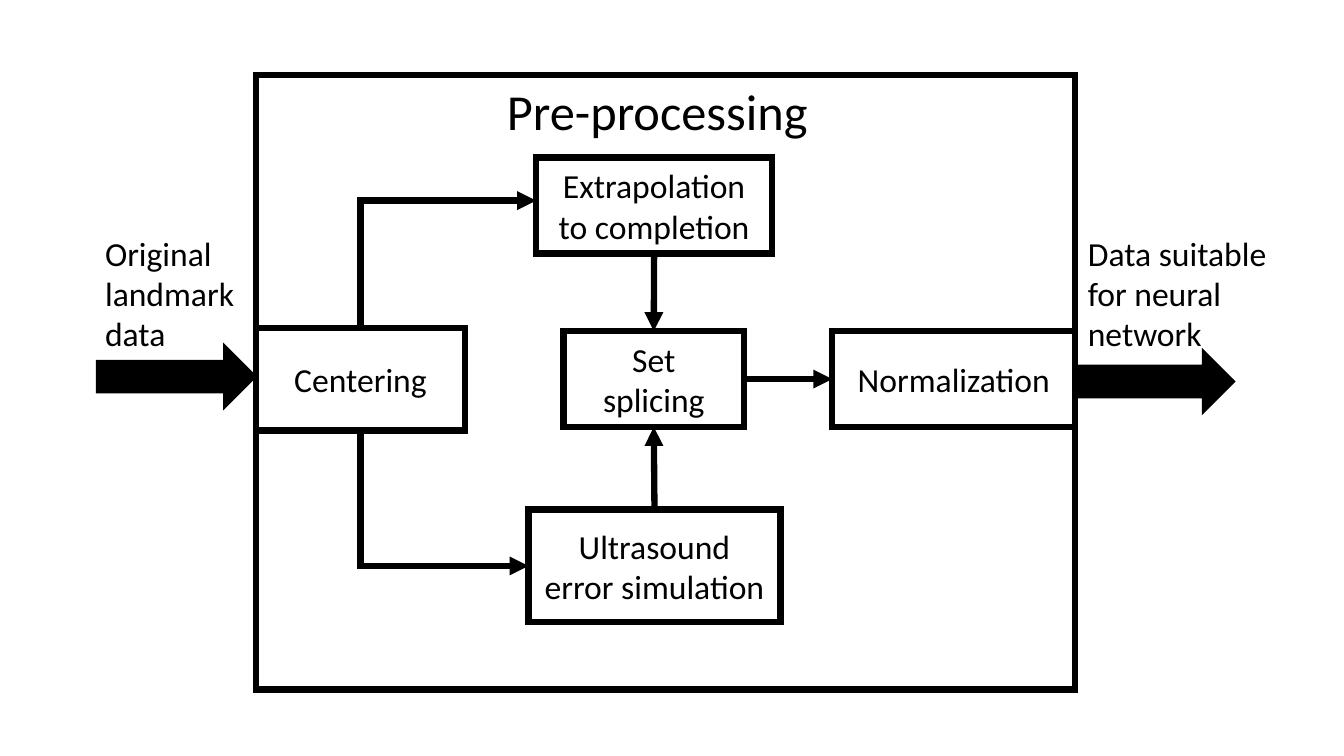
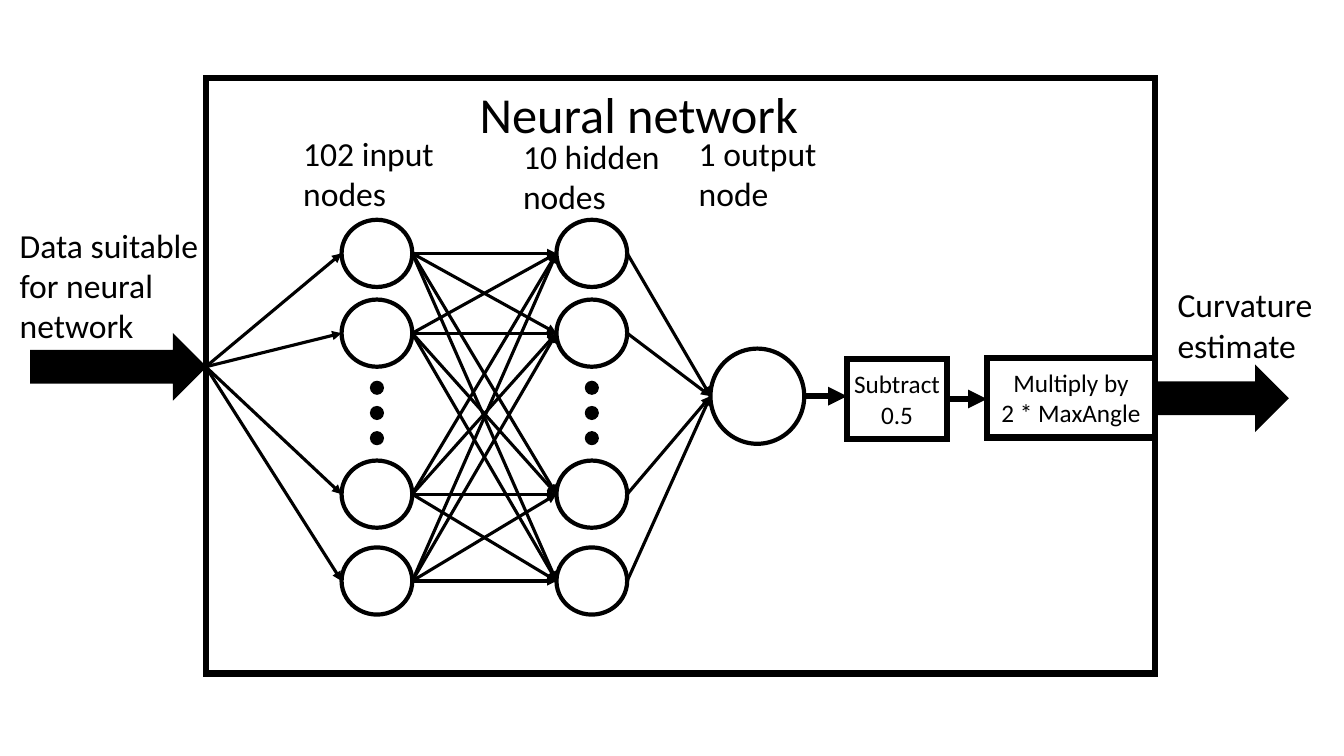
from dataclasses import dataclass
from itertools import product

from lxml.etree import SubElement
from pptx import Presentation
from pptx.dml.color import RGBColor
from pptx.enum.shapes import MSO_CONNECTOR, MSO_SHAPE
from pptx.enum.text import MSO_ANCHOR, PP_ALIGN
from pptx.oxml.ns import qn
from pptx.util import Pt

BLACK = RGBColor(0, 0, 0)
FONT = "Calibri"
TITLE_SIZE, LABEL_SIZE, SMALL_SIZE = 36, 24, 18
THICK, MEDIUM, THIN, HAIR = 4.5, 3, 2.25, 1
ARROW_HEIGHT = 46
FRAME_FORMAT = {"word_wrap": True, "margin_left": Pt(7.2), "margin_right": Pt(7.2),
                "margin_top": Pt(3.6), "margin_bottom": Pt(3.6),
                "vertical_anchor": MSO_ANCHOR.TOP}
STEP_FORMAT = FRAME_FORMAT | {"word_wrap": False, "margin_left": 0, "margin_right": 0,
                              "margin_top": 0, "margin_bottom": 0,
                              "vertical_anchor": MSO_ANCHOR.MIDDLE}


@dataclass
class Box:
    """A rectangle in points."""
    left: float
    top: float
    width: float
    height: float

    def inner(self, left, top, width, height):
        return Box(self.left + left, self.top + top, width, height)

    def point(self, across, down):
        return self.left + across * self.width, self.top + down * self.height

    def lengths(self):
        return [Pt(value) for value in (self.left, self.top, self.width, self.height)]


# Basic pieces

def apply(target, values):
    for name, value in values.items():
        setattr(target, name, value)


def write(shape, text, size, frame_format, align=PP_ALIGN.LEFT):
    apply(shape.text_frame, frame_format)
    para = shape.text_frame.paragraphs[0]
    para.text = text
    para.alignment = align
    for span in para.runs:
        apply(span.font, {"name": FONT, "size": Pt(size)})
        span.font.color.rgb = BLACK


def add_label(page, box, text, size=LABEL_SIZE):
    write(page.shapes.add_textbox(*box.lengths()), text, size, FRAME_FORMAT)


def set_line(shape, width):
    shape.line.color.rgb = BLACK
    shape.line.width = Pt(width)
    return shape._element.spPr.find(qn("a:ln"))


def add_outline(page, kind, box, width, filled=False):
    shape = page.shapes.add_shape(kind, *box.lengths())
    shape.shadow.inherit = False
    if filled:
        shape.fill.solid()
        shape.fill.fore_color.rgb = BLACK
    else:
        shape.fill.background()
    SubElement(set_line(shape, width), qn("a:miter"), lim="800000")
    return shape


def add_step(page, box, text, size=LABEL_SIZE):
    shape = add_outline(page, MSO_SHAPE.RECTANGLE, box, THICK)
    write(shape, text, size, STEP_FORMAT, PP_ALIGN.CENTER)


def add_arrow(page, start, end, width=THICK, bent=False):
    """Arrow from start to end; a bent one leaves vertically and arrives horizontally."""
    kind = MSO_CONNECTOR.ELBOW if bent else MSO_CONNECTOR.STRAIGHT
    # The one-corner preset runs horizontally first, so it is laid from its tip.
    first, last = (end, start) if bent else (start, end)
    link = page.shapes.add_connector(kind, *[Pt(value) for value in first + last])
    properties = link._element.spPr
    line = set_line(link, width)
    SubElement(line, qn("a:miter"), lim="800000")
    SubElement(line, qn("a:headEnd" if bent else "a:tailEnd"), type="triangle")
    SubElement(properties, qn("a:effectLst"))
    if bent:
        properties.find(qn("a:prstGeom")).set("prst", "bentConnector2")


# Regions

def draw_stage(page, box, title, title_box):
    """Outer frame with its heading."""
    add_outline(page, MSO_SHAPE.RECTANGLE, box, THICK)
    add_label(page, box.inner(*title_box), title, TITLE_SIZE)


def draw_flow(page, box, arrow, text, label_box):
    """Block arrow into or out of a stage, with its label; arrow is left, top, width."""
    add_outline(page, MSO_SHAPE.RIGHT_ARROW, box.inner(*arrow, ARROW_HEIGHT), HAIR, filled=True)
    add_label(page, box.inner(*label_box), text)


def draw_layer(page, box):
    """Column of four nodes with an ellipsis; returns the nodes."""
    nodes = [box.inner(0, top, box.width, 48) for top in (0, 57, 172, 234)]
    for node in nodes:
        add_outline(page, MSO_SHAPE.OVAL, node, MEDIUM)
    for index in range(3):
        dot = box.inner(box.width / 2 - 3.5, 116.5 + 18 * index, 7, 7)
        add_outline(page, MSO_SHAPE.OVAL, dot, MEDIUM, filled=True)
    return nodes


def draw_preprocessing(page, box):
    draw_stage(page, box, "Pre-processing", (172, 0, 240, 51))
    draw_flow(page, box, (-114, 192.5, 114), "Original landmark data", (-115, 109, 138, 94))
    draw_flow(page, box, (box.width, 196, 114), "Data suitable for neural network",
              (587, 109, 149, 94))

    # Steps
    centering = box.inner(0, 181, 149, 73)
    extrapolation = box.inner(200, 59, 168.5, 68.5)
    simulation = box.inner(194.5, 310.5, 180, 80.5)
    splicing = box.inner(219.5, 183, 129, 68.5)
    normalization = box.inner(box.width - 173.5, 183, 173.5, 68.5)
    for step, text in ((centering, "Centering"),
                       (extrapolation, "Extrapolation\vto completion"),
                       (simulation, "Ultrasound\verror simulation"),
                       (splicing, "Set\vsplicing"),
                       (normalization, "Normalization")):
        add_step(page, step, text)

    # Arrows between steps
    add_arrow(page, centering.point(0.5, 0), extrapolation.point(0, 0.45), bent=True)
    add_arrow(page, centering.point(0.5, 1), simulation.point(0, 0.5), bent=True)
    add_arrow(page, extrapolation.point(0.5, 1), splicing.point(0.5, 0))
    add_arrow(page, simulation.point(0.5, 0), splicing.point(0.5, 1))
    add_arrow(page, splicing.point(1, 0.5), normalization.point(0, 0.5))


def draw_network(page, box):
    draw_stage(page, box, "Neural network", (188.5, 0, 250, 51))
    draw_flow(page, box, (-125, 183.5, 125), "Data suitable for neural network",
              (-140, 101.5, 168.5, 94))
    draw_flow(page, box, (box.width, 206, 95), "Curvature estimate", (687, 144, 112, 66))

    # Layers and their labels
    inputs = draw_layer(page, box.inner(97, 101.5, 50.5, 282))
    hidden = draw_layer(page, box.inner(250.5, 101.5, 50.5, 282))
    output = box.inner(360.5, 193.5, 67, 68)
    add_outline(page, MSO_SHAPE.OVAL, output, MEDIUM)
    for text, place in (("102 input nodes", (62.5, 36, 112, 66)),
                        ("10 hidden nodes", (219.5, 38, 121, 66)),
                        ("1 output node", (345, 36, 99, 66))):
        add_label(page, box.inner(*place), text)

    # Connections between neighbouring layers
    entry = box.inner(0, 206.5, 0, 0)
    for sources, targets in (([entry], inputs), (inputs, hidden), (hidden, [output])):
        for source, target in product(sources, targets):
            add_arrow(page, source.point(1, 0.5), target.point(0, 0.5), THIN)

    # Scaling of the output
    subtract = box.inner(458, 201, 71.5, 57)
    multiply = box.inner(box.width - 120, 200, 120, 57)
    add_step(page, subtract, "Subtract\v0.5", SMALL_SIZE)
    add_step(page, multiply, "Multiply by\v2 * MaxAngle", SMALL_SIZE)
    for source, target in ((output, subtract), (subtract, multiply)):
        start = source.point(1, 0.5)
        add_arrow(page, start, (target.left, start[1]))


def main():
    deck = Presentation()
    apply(deck, {"slide_width": Pt(960), "slide_height": Pt(540)})
    for draw, box in ((draw_preprocessing, Box(183, 53.5, 585, 439)),
                      (draw_network, Box(147, 55.5, 678, 425.5))):
        draw(deck.slides.add_slide(deck.slide_layouts[6]), box)
    deck.save("out.pptx")


if __name__ == "__main__":
    main()
